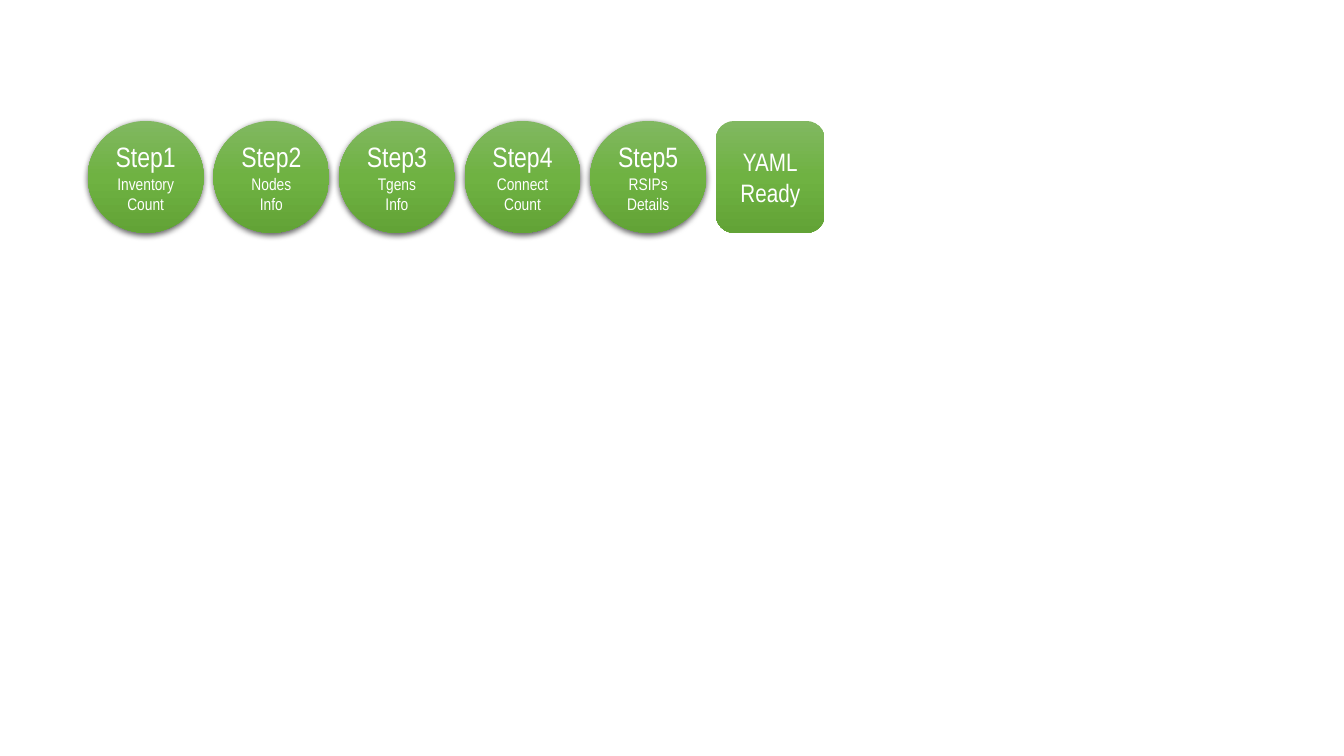
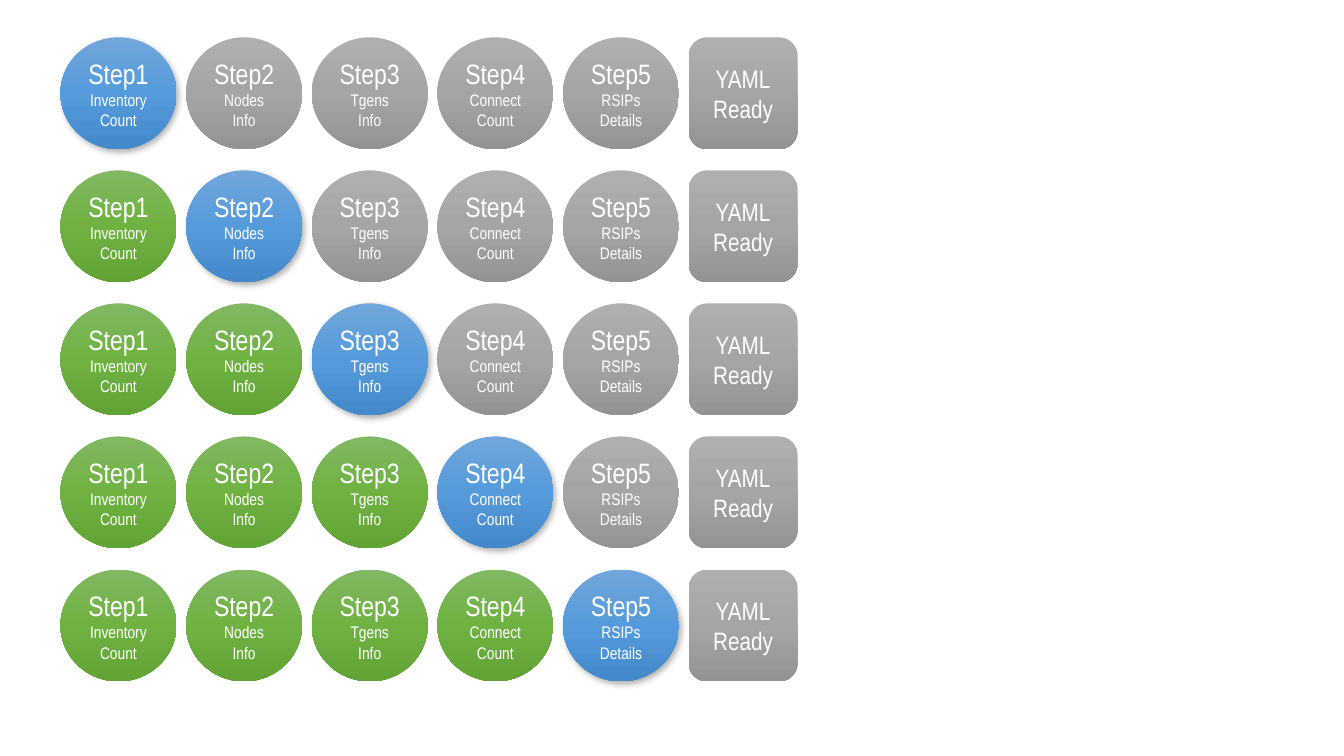
from copy import deepcopy
from dataclasses import dataclass

from lxml.etree import SubElement
from pptx import Presentation
from pptx.dml.color import RGBColor
from pptx.enum.shapes import MSO_SHAPE
from pptx.enum.text import MSO_ANCHOR, PP_ALIGN
from pptx.oxml.ns import qn
from pptx.util import Emu, Pt

STEPS = [
    ("Step1", "Inventory", "Count"),
    ("Step2", "Nodes", "Info"),
    ("Step3", "Tgens", "Info"),
    ("Step4", "Connect", "Count"),
    ("Step5", "RSIPs", "Details"),
]
RESULT = ("YAML", "Ready")


@dataclass(frozen=True)
class Shadow:
    """Opacity in percent, blur and distance in points, angle in degrees."""
    opacity: int
    blur: float
    distance: float
    angle: int


@dataclass(frozen=True)
class Theme:
    font: str = "Arial Narrow"
    text: str = "FFFFFF"
    step_size: int = 20
    detail_size: int = 12
    result_size: int = 18
    done: tuple = ("81B861", "6FB242", "62A336")
    current: tuple = ("71A6DB", "559BDB", "448ACA")
    pending: tuple = ("AFAFAF", "A5A5A5", "939393")
    finished_shadow: Shadow = Shadow(63, 4.5, 1.5, 90)
    current_shadow: Shadow = Shadow(30, 4.5, 2.6, 53)


THEME = Theme()

# Lengths in px, 100 to the inch
PX = 9144
SLIDE_WIDTH, SLIDE_HEIGHT = 1333, 750
CIRCLE_WIDTH, RESULT_WIDTH, HEIGHT = 115, 108, 111
RESULT_OFFSET = 623
FINISHED_LEFT, FINISHED_TOP = 87, 120
PROGRESS_LEFT, PROGRESS_TOP, ROW_PITCH = 60, 37, 132


def px(length):
    return Emu(round(length * PX))


def fill_gradient(shape, colors):
    """Fill from top to bottom with three evenly spaced colours."""
    shape.fill.gradient()
    shape.fill.gradient_angle = 270
    first = shape.element.spPr.find(f".//{qn('a:gs')}")
    first.addnext(deepcopy(first))
    for index, (stop, color) in enumerate(zip(shape.fill.gradient_stops, colors)):
        stop.position = index / (len(colors) - 1)
        stop.color.rgb = RGBColor.from_string(color)


def set_shadow(shape, shadow):
    shape.shadow.inherit = False
    if shadow is None:
        return
    effects = shape.element.spPr.find(qn("a:effectLst"))
    outer = SubElement(
        effects, qn("a:outerShdw"), blurRad=str(Pt(shadow.blur)),
        dist=str(Pt(shadow.distance)), dir=str(shadow.angle * 60000),
        algn="ctr", rotWithShape="0")
    color = SubElement(outer, qn("a:srgbClr"), val="000000")
    SubElement(color, qn("a:alpha"), val=str(shadow.opacity * 1000))


def write_text(shape, lines, *, sizes, color=THEME.text, font=THEME.font):
    frame = shape.text_frame
    frame.word_wrap = True
    frame.vertical_anchor = MSO_ANCHOR.MIDDLE
    frame.margin_left = frame.margin_right = 0
    frame.margin_top = frame.margin_bottom = 0
    for index, (line, size) in enumerate(zip(lines, sizes)):
        para = frame.add_paragraph() if index else frame.paragraphs[0]
        para.alignment = PP_ALIGN.CENTER
        span = para.add_run()
        span.text = line
        span.font.name = font
        span.font.size = Pt(size)
        span.font.color.rgb = RGBColor.from_string(color)


def add_badge(slide, kind, left, top, width, lines, *, sizes, colors, shadow=None):
    shape = slide.shapes.add_shape(kind, px(left), px(top), px(width), px(HEIGHT))
    fill_gradient(shape, colors)
    shape.line.fill.background()
    set_shadow(shape, shadow)
    write_text(shape, lines, sizes=sizes)


def add_step_row(slide, left, top, current=None):
    """Draw the steps and the result; without a current step all are done."""
    pitch = RESULT_OFFSET / len(STEPS)
    step_sizes = (THEME.step_size, THEME.detail_size, THEME.detail_size)
    for index, lines in enumerate(STEPS):
        if current is None:
            colors, shadow = THEME.done, THEME.finished_shadow
        elif index == current:
            colors, shadow = THEME.current, THEME.current_shadow
        else:
            colors = THEME.done if index < current else THEME.pending
            shadow = None
        add_badge(slide, MSO_SHAPE.OVAL, left + index * pitch, top, CIRCLE_WIDTH,
                  lines, sizes=step_sizes, colors=colors, shadow=shadow)
    add_badge(slide, MSO_SHAPE.ROUNDED_RECTANGLE, left + RESULT_OFFSET, top,
              RESULT_WIDTH, RESULT, sizes=(THEME.result_size,) * len(RESULT),
              colors=THEME.done if current is None else THEME.pending)


def main():
    deck = Presentation()
    deck.slide_width, deck.slide_height = px(SLIDE_WIDTH), px(SLIDE_HEIGHT)
    blank = deck.slide_layouts[6]

    finished = deck.slides.add_slide(blank)
    add_step_row(finished, FINISHED_LEFT, FINISHED_TOP)

    progress = deck.slides.add_slide(blank)
    for current in range(len(STEPS)):
        add_step_row(progress, PROGRESS_LEFT, PROGRESS_TOP + current * ROW_PITCH, current)

    deck.save("out.pptx")


if __name__ == "__main__":
    main()
